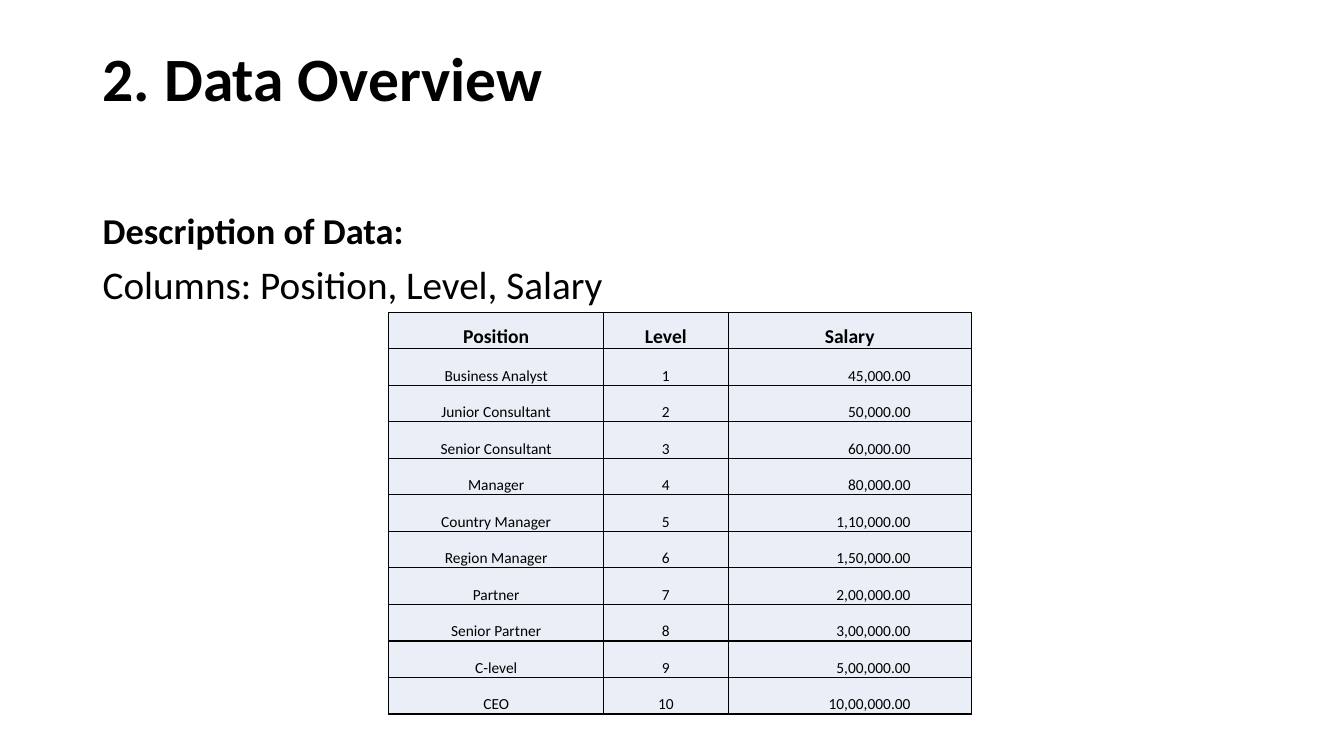
from dataclasses import dataclass

from lxml import etree
from pptx import Presentation
from pptx import util as u
from pptx.dml import color
from pptx.enum import text
from pptx.oxml import ns


@dataclass(frozen=True)
class Theme:
    font: str = "Calibri"
    ink: str = "000000"
    fill: str = "EAEFF7"
    title: float = 44
    head: float = 26
    body: float = 28
    label: float = 14
    cell: float = 11
    rule: float = 1


def apply(item, **form):
    for key, value in form.items():
        setattr(item, key, value)


class Deck:
    def __init__(self, show, theme):
        self.theme = theme
        self.slide = show.slides.add_slide(show.slide_layouts[6])

    def line(self, para, words, size, bold=False, **form):
        apply(para, **form)
        run = para.add_run()
        run.text = words
        apply(run.font, name=self.theme.font, size=u.Pt(size), bold=bold)
        run.font.color.rgb = color.RGBColor.from_string(self.theme.ink)

    def box(self, area, lines, **form):
        frame = self.slide.shapes.add_textbox(*map(u.Cm, area)).text_frame
        apply(frame, word_wrap=True, **form)
        for n, (words, size, bold) in enumerate(lines):
            para = frame.add_paragraph() if n else frame.paragraphs[0]
            self.line(para, words, size, bold, line_spacing=0.9,
                      space_before=u.Pt(10 if n else 0))

    def border(self, cell):
        props = cell._tc.get_or_add_tcPr()
        for n, side in enumerate(("lnL", "lnR", "lnT", "lnB")):
            edge = etree.Element(ns.qn(f"a:{side}"), w=str(u.Pt(self.theme.rule)))
            fill = etree.SubElement(edge, ns.qn("a:solidFill"))
            etree.SubElement(fill, ns.qn("a:srgbClr"), val=self.theme.ink)
            props.insert(n, edge)

    def grid(self, left, top, widths, height, rows):
        area = left, top, sum(widths), height * len(rows)
        table = self.slide.shapes.add_table(
            len(rows), len(widths), *map(u.Cm, area)).table
        apply(table, first_row=False, horz_banding=False)
        for col, width in zip(table.columns, widths):
            col.width = u.Cm(width)
        for r, row in enumerate(rows):
            table.rows[r].height = u.Cm(height)
            for c, words in enumerate(row):
                cell = table.cell(r, c)
                money = r > 0 and c == 2
                apply(cell, vertical_anchor=text.MSO_ANCHOR.BOTTOM,
                      margin_left=u.Cm(0.03), margin_top=u.Cm(0.03),
                      margin_right=u.Cm(1.53 if money else 0.03),
                      margin_bottom=0)
                cell.fill.solid()
                cell.fill.fore_color.rgb = color.RGBColor.from_string(self.theme.fill)
                self.border(cell)
                align = text.PP_ALIGN.RIGHT if money else text.PP_ALIGN.CENTER
                size = self.theme.cell if r else self.theme.label
                self.line(cell.text_frame.paragraphs[0], words, size,
                          r == 0, alignment=align)


PAY = [
    ("Business Analyst", "45,000.00"),
    ("Junior Consultant", "50,000.00"),
    ("Senior Consultant", "60,000.00"),
    ("Manager", "80,000.00"),
    ("Country Manager", "1,10,000.00"),
    ("Region Manager", "1,50,000.00"),
    ("Partner", "2,00,000.00"),
    ("Senior Partner", "3,00,000.00"),
    ("C-level", "5,00,000.00"),
    ("CEO", "10,00,000.00"),
]


def main():
    show = Presentation()
    apply(show, slide_width=u.Cm(33.87), slide_height=u.Cm(19.05))
    theme = Theme()
    deck = Deck(show, theme)
    deck.box((2.34, 1.02, 29.21, 2.06),
             [("2. Data Overview", theme.title, True)],
             vertical_anchor=text.MSO_ANCHOR.MIDDLE)
    deck.box((2.34, 3.84, 29.21, 14.53),
             [("Description of Data:", theme.head, True),
              ("Columns: Position, Level, Salary", theme.body, False)],
             margin_top=u.Cm(1.52))
    rows = [("Position", "Level", "Salary")]
    rows += [(job, str(n), pay) for n, (job, pay) in enumerate(PAY, 1)]
    deck.grid(9.8, 7.87, (5.41, 3.14, 6.13), 0.92, rows)
    show.save("out.pptx")


if __name__ == "__main__":
    main()
